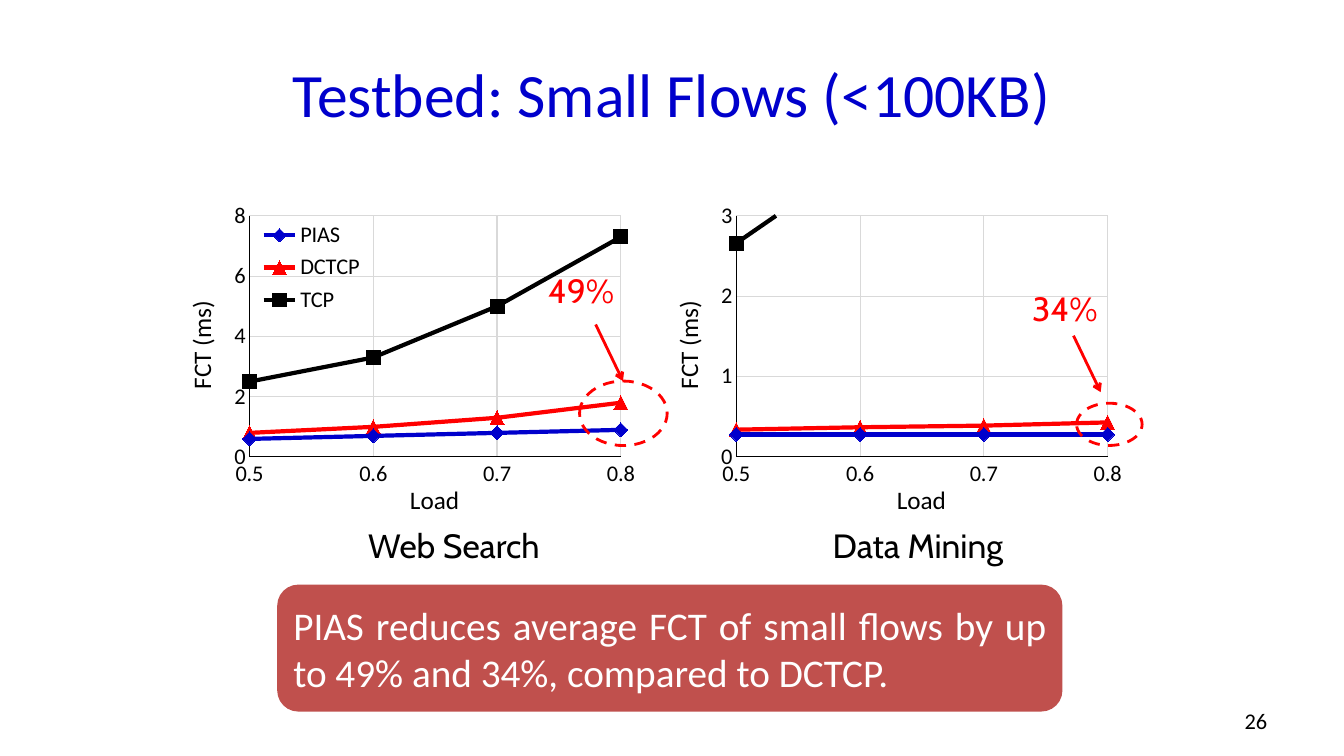
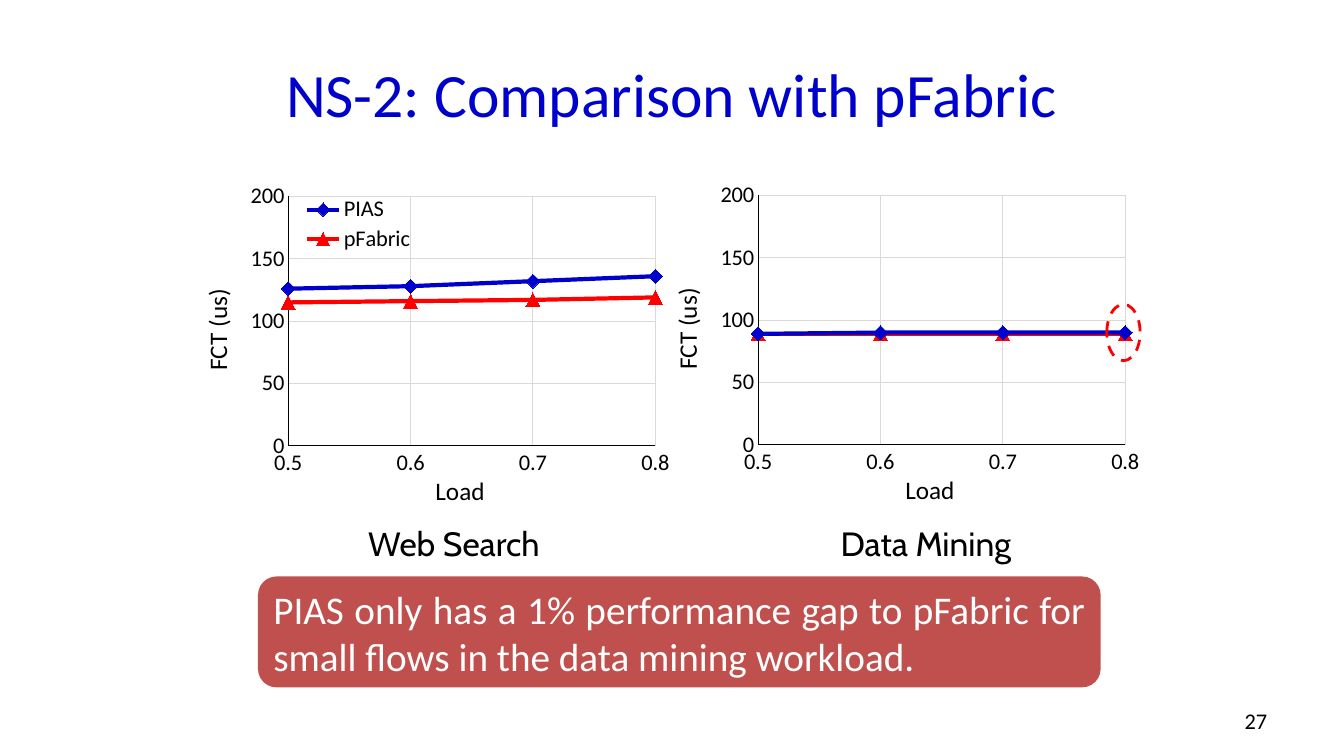
from dataclasses import dataclass
from typing import NamedTuple

from lxml import etree
from pptx import Presentation
from pptx.chart.data import XyChartData
from pptx.dml.color import RGBColor
from pptx.enum.chart import XL_CHART_TYPE, XL_LEGEND_POSITION, XL_MARKER_STYLE, XL_TICK_MARK
from pptx.enum.dml import MSO_LINE
from pptx.enum.shapes import MSO_CONNECTOR, MSO_SHAPE
from pptx.enum.text import MSO_ANCHOR, PP_ALIGN
from pptx.oxml.ns import qn
from pptx.util import Pt

SCATTER = XL_CHART_TYPE.XY_SCATTER_LINES
BOTTOM = XL_LEGEND_POSITION.BOTTOM
NO_TICK = XL_TICK_MARK.NONE
DIAMOND, TRIANGLE, SQUARE = (XL_MARKER_STYLE.DIAMOND, XL_MARKER_STYLE.TRIANGLE,
                             XL_MARKER_STYLE.SQUARE)
DASH = MSO_LINE.DASH
STRAIGHT = MSO_CONNECTOR.STRAIGHT
OVAL, ROUND = MSO_SHAPE.OVAL, MSO_SHAPE.ROUNDED_RECTANGLE
TOP, MIDDLE = MSO_ANCHOR.TOP, MSO_ANCHOR.MIDDLE
CENTER, RIGHT, JUSTIFY = PP_ALIGN.CENTER, PP_ALIGN.RIGHT, PP_ALIGN.JUSTIFY

COLORS = {
    "blue": "0000CC",
    "red": "FF0000",
    "black": "000000",
    "white": "FFFFFF",
    "brick": "C0504D",
    "grid": "D9D9D9",
}
BODY, ACCENT = "Calibri", "Cabin"
LOADS = (0.5, 0.6, 0.7, 0.8)


class Box(NamedTuple):
    x: float
    y: float
    w: float
    h: float


class Style(NamedTuple):
    size: float
    font: str
    color: str
    align: PP_ALIGN
    anchor: MSO_ANCHOR = MIDDLE


class Look(NamedTuple):
    color: str
    marker: XL_MARKER_STYLE


TITLE = Style(44, BODY, "blue", CENTER)
CAPTION = Style(24, ACCENT, "black", CENTER, TOP)
BANNER = Style(28, BODY, "white", JUSTIFY)
GAIN = Style(24, ACCENT, "red", CENTER)
NUMBER = Style(16, BODY, "black", RIGHT)
LOOKS = (Look("blue", DIAMOND), Look("red", TRIANGLE), Look("black", SQUARE))
TITLE_BOX = Box(48, 21.6, 864, 90)
NUMBER_BOX = Box(688.3, 500.4, 223.9, 28.8)


@dataclass
class Note:
    """A dashed ring, with an optional gain label and arrow."""
    ring: Box
    text: str = ""
    label: Box | None = None
    arrow: tuple[float, float, float, float] | None = None


@dataclass
class Panel:
    name: str
    caption: Box
    box: Box
    top: float
    step: float
    rows: dict[str, tuple[float, ...]]
    legend: Box | None = None
    note: Note | None = None


@dataclass
class Page:
    number: int
    title: str
    unit: str
    plot: Box
    banner: Box
    claim: str
    panels: list[Panel]


PAGES = [
    Page(26, "Testbed: Small Flows (<100KB)", "ms",
         Box(0.151, 0.068, 0.801, 0.732), Box(198, 417.6, 560.9, 90.7),
         "PIAS reduces average FCT of small flows by up to 49% and 34%, compared to DCTCP.",
         [Panel("Web Search", Box(253.4, 371.5, 141.8, 36),
                Box(128.2, 138.2, 331.2, 235.4), 8, 2,
                {"PIAS": (0.6, 0.7, 0.8, 0.9), "DCTCP": (0.8, 1, 1.3, 1.8),
                 "TCP": (2.5, 3.3, 5, 7.3)},
                Box(0.16, 0.07, 0.25, 0.31),
                Note(Box(414, 272.2, 62.6, 46.1), "49%", Box(374.4, 185, 81.4, 44.6),
                     (425.5, 231.8, 445, 272.2))),
          Panel("Data Mining", Box(581.8, 371.5, 147.6, 36),
                Box(475.9, 138.2, 331.2, 235.4), 3, 1,
                {"PIAS": (0.28, 0.28, 0.28, 0.28), "DCTCP": (0.34, 0.37, 0.39, 0.43),
                 "TCP": (2.66, 3.72, 5.09, 6.3)},
                note=Note(Box(769, 288, 46.8, 30.2), "34%", Box(720, 198, 81.4, 44.6),
                          (766.8, 239.8, 786.2, 280.1)))]),
    Page(27, "NS-2: Comparison with pFabric", "us",
         Box(0.195, 0.068, 0.756, 0.732), Box(184.3, 411.8, 601.9, 79.2),
         "PIAS only has a 1% performance gap to pFabric for small flows "
         "in the data mining workload.",
         [Panel("Web Search", Box(253.4, 370.1, 141.8, 36),
                Box(138.2, 123.8, 347, 243.4), 200, 50,
                {"PIAS": (126, 128, 132, 136), "pFabric": (115, 116, 117, 119)},
                Box(0.22, 0.06, 0.24, 0.18)),
          Panel("Data Mining", Box(587.5, 370.1, 147.6, 36),
                Box(473.8, 123.1, 347, 243.4), 200, 50,
                {"PIAS": (89, 90, 90, 90), "pFabric": (89, 89, 89, 89)},
                note=Note(Box(790.6, 217.4, 23.8, 40.3)))]),
]


def rgb(name: str) -> RGBColor:
    return RGBColor.from_string(COLORS[name])


def pts(box: Box) -> list[Pt]:
    return [Pt(v) for v in box]


def ink(font, size: float, face: str, color: str) -> None:
    font.size, font.name, font.bold = Pt(size), face, False
    font.color.rgb = rgb(color)


def stroke(line, color: str, width: float) -> None:
    line.color.rgb = rgb(color)
    line.width = Pt(width)


def write(frame, text: str, style: Style) -> None:
    frame.word_wrap = True
    frame.vertical_anchor = style.anchor
    para = frame.paragraphs[0]
    para.alignment = style.align
    run = para.add_run()
    run.text = text
    ink(run.font, style.size, style.font, style.color)


def label(slide, box: Box, text: str, style: Style) -> None:
    write(slide.shapes.add_textbox(*pts(box)).text_frame, text, style)


def fix(node, spot: int, box: Box, inner: bool = False) -> None:
    """Give a chart part a manual layout, as fractions of the chart."""
    for old in node.findall(qn("c:layout")):
        node.remove(old)
    layout = etree.Element(qn("c:layout"))
    manual = etree.SubElement(layout, qn("c:manualLayout"))
    pairs = [("layoutTarget", "inner")] if inner else []
    pairs += [("xMode", "edge"), ("yMode", "edge")]
    pairs += [(key, str(val)) for key, val in zip("xywh", box)]
    for tag, val in pairs:
        etree.SubElement(manual, qn(f"c:{tag}")).set("val", val)
    node.insert(spot, layout)


def set_axis(axis, name: str, low: float, high: float, step: float, form: str) -> None:
    axis.minimum_scale, axis.maximum_scale, axis.major_unit = low, high, step
    axis.major_tick_mark = axis.minor_tick_mark = NO_TICK
    axis.has_major_gridlines = True
    stroke(axis.major_gridlines.format.line, "grid", 0.75)
    stroke(axis.format.line, "black", 0.75)
    labels = axis.tick_labels
    labels.number_format, labels.number_format_is_linked = form, False
    ink(labels.font, 16, BODY, "black")
    run = axis.axis_title.text_frame.paragraphs[0].add_run()
    run.text = name
    ink(run.font, 18, BODY, "black")


def draw_chart(slide, panel: Panel, unit: str, plot: Box) -> None:
    data = XyChartData()
    for name, vals in panel.rows.items():
        row = data.add_series(name)
        for load, val in zip(LOADS, vals):
            row.add_data_point(load, val)
    chart = slide.shapes.add_chart(SCATTER, *pts(panel.box), data).chart
    chart.has_title = False
    ink(chart.font, 10, BODY, "black")
    set_axis(chart.category_axis, "Load", LOADS[0], LOADS[-1], 0.1, "0.0")
    set_axis(chart.value_axis, f"FCT ({unit})", 0, panel.top, panel.step, "0")
    area = chart.element.xpath("c:chart/c:plotArea")[0]
    turn = area.xpath("c:valAx[2]/c:title//a:bodyPr")[0]
    turn.set("rot", "-5400000")
    turn.set("vert", "horz")
    fix(area, 0, plot, inner=True)

    chart.plots[0].vary_by_categories = False
    for row, look in zip(chart.plots[0].series, LOOKS):
        row.smooth = False
        stroke(row.format.line, look.color, 3)
        mark = row.marker
        mark.style, mark.size = look.marker, 10
        mark.format.fill.solid()
        mark.format.fill.fore_color.rgb = rgb(look.color)
        mark.format.line.fill.background()

    chart.has_legend = panel.legend is not None
    if panel.legend:
        chart.legend.position = BOTTOM
        chart.legend.include_in_layout = False
        ink(chart.legend.font, 16, BODY, "black")
        fix(chart.element.xpath("c:chart/c:legend")[0], 1, panel.legend)


def draw_arrow(slide, ends: tuple[float, float, float, float]) -> None:
    link = slide.shapes.add_connector(STRAIGHT, *[Pt(v) for v in ends])
    stroke(link.line, "red", 2)
    props = link.element.xpath("p:spPr")[0]
    etree.SubElement(props.find(qn("a:ln")), qn("a:tailEnd")).set("type", "arrow")
    etree.SubElement(props, qn("a:effectLst"))


def draw_note(slide, note: Note) -> None:
    ring = slide.shapes.add_shape(OVAL, *pts(note.ring))
    ring.shadow.inherit = False
    ring.fill.background()
    stroke(ring.line, "red", 2)
    ring.line.dash_style = DASH
    if note.arrow:
        draw_arrow(slide, note.arrow)
    if note.label:
        label(slide, note.label, note.text, GAIN)


def draw_banner(slide, box: Box, text: str) -> None:
    shape = slide.shapes.add_shape(ROUND, *pts(box))
    shape.shadow.inherit = False
    shape.fill.solid()
    shape.fill.fore_color.rgb = rgb("brick")
    shape.line.fill.background()
    write(shape.text_frame, text, BANNER)


def draw_page(deck, page: Page) -> None:
    slide = deck.slides.add_slide(deck.slide_layouts[5])
    title = slide.shapes.title
    title.left, title.top, title.width, title.height = pts(TITLE_BOX)
    write(title.text_frame, page.title, TITLE)
    for panel in reversed(page.panels):
        draw_chart(slide, panel, page.unit, page.plot)
    for panel in page.panels:
        label(slide, panel.caption, panel.name, CAPTION)
        if panel.note:
            draw_note(slide, panel.note)
    draw_banner(slide, page.banner, page.claim)
    label(slide, NUMBER_BOX, str(page.number), NUMBER)


def main() -> None:
    deck = Presentation()
    deck.slide_width, deck.slide_height = Pt(960), Pt(540)
    for page in PAGES:
        draw_page(deck, page)
    deck.save("out.pptx")


if __name__ == "__main__":
    main()
